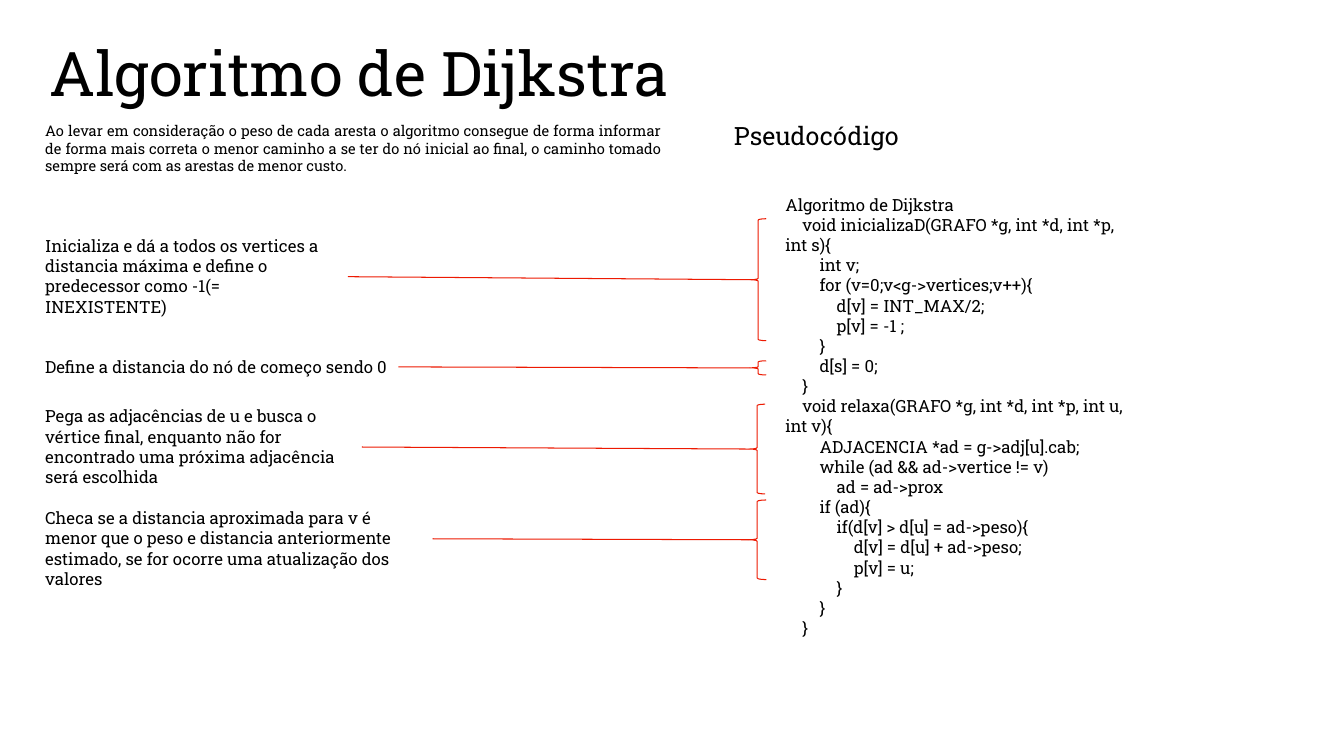
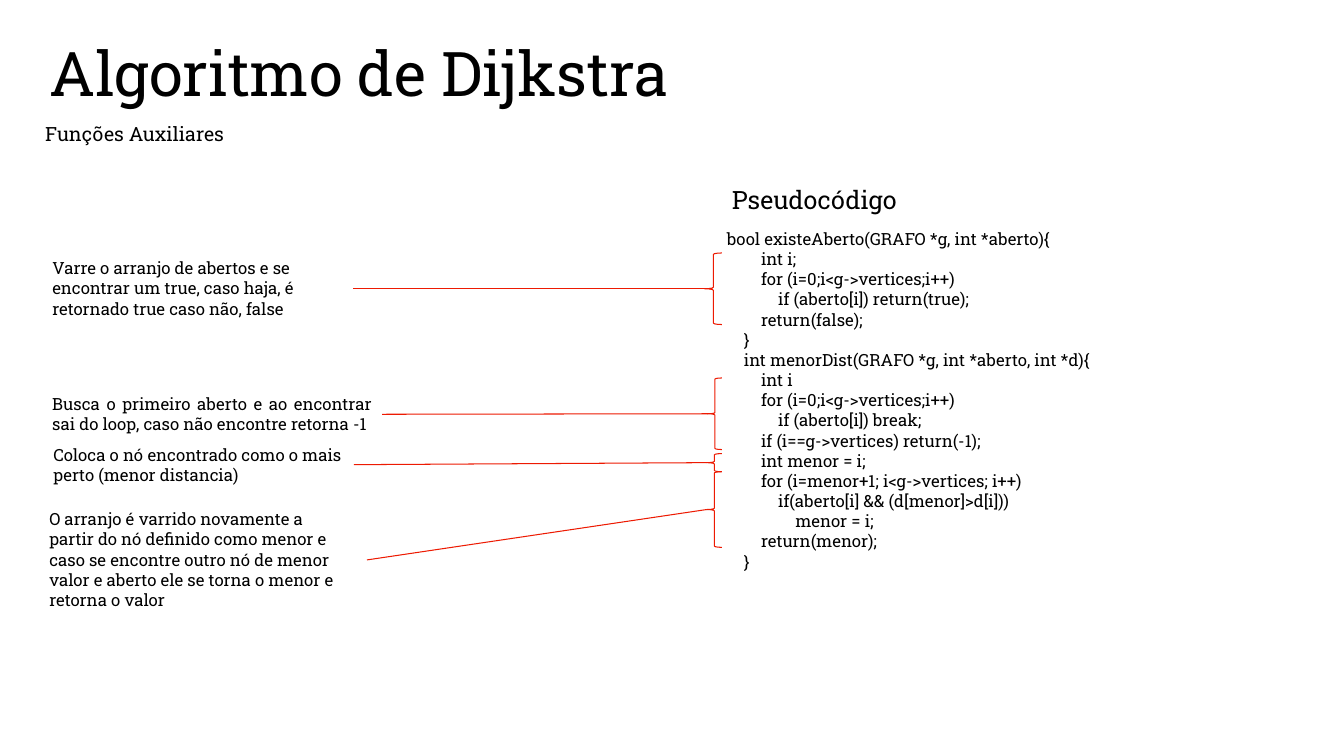
from dataclasses import dataclass

import pptx
import pptx.dml.color
import pptx.enum.shapes
import pptx.enum.text
import pptx.oxml.ns
import pptx.oxml.xmlchemy
import pptx.presentation
import pptx.shapes.autoshape
import pptx.slide
import pptx.util
from pptx.util import Inches

FONT_NAME = "Roboto Slab"
TEXT_COLOR = "000000"
ACCENT_COLOR = "ED1A02"
LINE_WIDTH = 0.75
CODE_INDENT = 0.17
LEFT = pptx.enum.text.PP_ALIGN.LEFT
JUSTIFY = pptx.enum.text.PP_ALIGN.JUSTIFY


@dataclass(frozen=True)
class Box:
    left: float
    top: float
    width: float
    height: float

    def lengths(self) -> tuple[pptx.util.Length, ...]:
        return tuple(Inches(value) for value in (self.left, self.top, self.width, self.height))


@dataclass(frozen=True)
class Text:
    box: Box
    lines: tuple[str, ...]
    size: float = 12
    wrap: bool = True
    alignment: pptx.enum.text.PP_ALIGN = LEFT
    levels: tuple[int, ...] = ()


@dataclass(frozen=True)
class Explanation:
    """A note, the brace around the code it explains, and the gap between note and line."""
    note: Text
    brace: Box
    gap: float = 0


@dataclass(frozen=True)
class Page:
    introduction: Text
    heading: Text
    code: Text
    explanations: tuple[Explanation, ...]


def note(box: Box, words: str, wrap: bool = True, alignment: pptx.enum.text.PP_ALIGN = LEFT) -> Text:
    return Text(box, (words,), wrap=wrap, alignment=alignment)


def code(box: Box, wrap: bool, *lines: tuple[int, str]) -> Text:
    """Make a listing from pairs of indent level and statement."""
    levels, statements = zip(*lines)
    return Text(box, statements, wrap=wrap, levels=levels)


TITLE = Text(Box(0.39, 0.3, 6.5, 0.84), ("Algoritmo de Dijkstra",), 44, wrap=False)

PAGES = (
    Page(
        Text(
            Box(0.35, 1.16, 6.31, 0.63),
            ("Ao levar em consideração o peso de cada aresta o algoritmo consegue de forma "
             "informar de forma mais correta o menor caminho a se ter do nó inicial ao final, "
             "o caminho tomado sempre será com as arestas de menor custo.",),
            10.5,
            alignment=JUSTIFY,
        ),
        Text(Box(7.18, 1.14, 1.86, 0.4), ("Pseudocódigo",), 18),
        code(
            Box(7.69, 1.88, 3.56, 4.54),
            True,
            (0, "Algoritmo de Dijkstra"),
            (1, "void inicializaD(GRAFO *g, int *d, int *p, int s){"),
            (2, "int v;"),
            (2, "for (v=0;v<g->vertices;v++){"),
            (3, "d[v] = INT_MAX/2;"),
            (3, "p[v] = -1 ;"),
            (2, "}"),
            (2, "d[s] = 0;"),
            (1, "}"),
            (1, "void relaxa(GRAFO *g, int *d, int *p, int u, int v){"),
            (2, "ADJACENCIA *ad = g->adj[u].cab;"),
            (2, "while (ad && ad->vertice != v)"),
            (3, "ad = ad->prox"),
            (2, "if (ad){"),
            (3, "if(d[v] > d[u] = ad->peso){"),
            (4, "d[v] = d[u] + ad->peso;"),
            (4, "p[v] = u;"),
            (3, "}"),
            (2, "}"),
            (1, "}"),
        ),
        (
            Explanation(
                note(Box(0.35, 2.29, 3.1, 0.91),
                     "Inicializa e dá a todos os vertices a distancia máxima e define o "
                     "predecessor como -1(= INEXISTENTE)"),
                Box(7.44, 2.17, 0.16, 1.21),
            ),
            Explanation(
                note(Box(0.35, 3.49, 3.6, 0.3),
                     "Define a distancia do nó de começo sendo 0", wrap=False),
                Box(7.44, 3.58, 0.16, 0.14),
            ),
            Explanation(
                note(Box(0.35, 3.98, 3.24, 0.91),
                     "Pega as adjacências de u e busca o vértice final, enquanto não for "
                     "encontrado uma próxima adjacência será escolhida"),
                Box(7.43, 4.01, 0.16, 0.89),
            ),
            Explanation(
                note(Box(0.35, 4.99, 3.94, 0.71),
                     "Checa se a distancia aproximada para v é menor que o peso e distancia "
                     "anteriormente estimado, se for ocorre uma atualização dos valores"),
                Box(7.42, 4.96, 0.18, 0.79),
            ),
        ),
    ),
    Page(
        Text(Box(0.35, 1.16, 6.31, 0.34), ("Funções Auxiliares",), 14, alignment=JUSTIFY),
        Text(Box(7.16, 1.78, 1.86, 0.4), ("Pseudocódigo",), 18, wrap=False),
        code(
            Box(7.11, 2.22, 3.82, 3.74),
            False,
            (0, "bool existeAberto(GRAFO *g, int *aberto){"),
            (2, "int i;"),
            (2, "for (i=0;i<g->vertices;i++)"),
            (3, "if (aberto[i]) return(true);"),
            (2, "return(false);"),
            (1, "}"),
            (1, "int menorDist(GRAFO *g, int *aberto, int *d){"),
            (2, "int i"),
            (2, "for (i=0;i<g->vertices;i++)"),
            (3, "if (aberto[i]) break;"),
            (2, "if (i==g->vertices) return(-1);"),
            (2, "int menor = i;"),
            (2, "for (i=menor+1; i<g->vertices; i++)"),
            (3, "if(aberto[i] && (d[menor]>d[i]))"),
            (4, "menor = i;"),
            (2, "return(menor);"),
            (1, "}"),
        ),
        (
            Explanation(
                note(Box(0.42, 2.51, 3.08, 0.71),
                     "Varre o arranjo de abertos e se encontrar um true, caso haja, é "
                     "retornado true caso não, false"),
                Box(6.99, 2.51, 0.17, 0.71),
            ),
            Explanation(
                note(Box(0.42, 3.86, 3.37, 0.5),
                     "Busca o primeiro aberto e ao encontrar sai do loop, caso não encontre "
                     "retorna -1", alignment=JUSTIFY),
                Box(7.02, 3.75, 0.14, 0.71),
            ),
            Explanation(
                note(Box(0.43, 4.36, 3.08, 0.5),
                     "Coloca o nó encontrado como o mais perto (menor distancia)"),
                Box(7.01, 4.5, 0.15, 0.18),
            ),
            Explanation(
                note(Box(0.39, 5, 3.08, 1.11),
                     "O arranjo é varrido novamente a partir do nó definido como menor e caso "
                     "se encontre outro nó de menor valor e aberto ele se torna o menor e "
                     "retorna o valor"),
                Box(7.01, 4.68, 0.15, 0.75),
                gap=0.17,
            ),
        ),
    ),
)


def color(value: str) -> pptx.dml.color.RGBColor:
    return pptx.dml.color.RGBColor.from_string(value)


def apply_format(target: object, values: dict[str, object]) -> None:
    for name, value in values.items():
        setattr(target, name, value)


def add_text(slide: pptx.slide.Slide, text: Text) -> pptx.shapes.autoshape.Shape:
    shape = slide.shapes.add_textbox(*text.box.lengths())
    frame = shape.text_frame
    frame.text = "\n".join(text.lines)
    apply_format(frame, {
        "word_wrap": text.wrap,
        "auto_size": pptx.enum.text.MSO_AUTO_SIZE.SHAPE_TO_FIT_TEXT,
    })
    for paragraph in frame.paragraphs:
        paragraph.alignment = text.alignment
        apply_format(paragraph.font, {"name": FONT_NAME, "size": pptx.util.Pt(text.size)})
        paragraph.font.color.rgb = color(TEXT_COLOR)
        for run in paragraph.runs:
            apply_format(run.font, {"name": FONT_NAME, "size": pptx.util.Pt(text.size)})
            run.font.color.rgb = color(TEXT_COLOR)
    for paragraph, level in zip(frame.paragraphs, text.levels):
        properties = paragraph._p.get_or_add_pPr()
        properties.set("marL", "0")
        properties.set("indent", str(Inches(level * CODE_INDENT)))
    return shape


def style_line(line: pptx.dml.line.LineFormat) -> None:
    line.color.rgb = color(ACCENT_COLOR)
    line.width = pptx.util.Pt(LINE_WIDTH)


def add_explanation(slide: pptx.slide.Slide, explanation: Explanation) -> None:
    note_shape = add_text(slide, explanation.note)
    brace = slide.shapes.add_shape(
        pptx.enum.shapes.MSO_SHAPE.LEFT_BRACE, *explanation.brace.lengths()
    )
    brace.shadow.inherit = False
    brace.fill.background()
    style_line(brace.line)

    box = explanation.note.box
    connector = slide.shapes.add_connector(
        pptx.enum.shapes.MSO_CONNECTOR.STRAIGHT,
        Inches(explanation.brace.left),
        Inches(explanation.brace.top + explanation.brace.height / 2),
        Inches(box.left + box.width + explanation.gap),
        Inches(box.top + box.height / 2),
    )
    connector.begin_connect(brace, 1)
    if not explanation.gap:
        connector.end_connect(note_shape, 3)
    style_line(connector.line)
    connector._element.spPr.append(pptx.oxml.xmlchemy.OxmlElement("a:effectLst"))


def add_page(presentation: pptx.presentation.Presentation, page: Page) -> None:
    slide = presentation.slides.add_slide(presentation.slide_layouts[6])
    for text in (TITLE, page.introduction, page.heading, page.code):
        add_text(slide, text)
    for explanation in page.explanations:
        add_explanation(slide, explanation)


def main() -> None:
    presentation = pptx.Presentation()
    apply_format(presentation, {"slide_width": Inches(13.33), "slide_height": Inches(7.5)})
    for page in PAGES:
        add_page(presentation, page)
    presentation.save("out.pptx")


if __name__ == "__main__":
    main()
